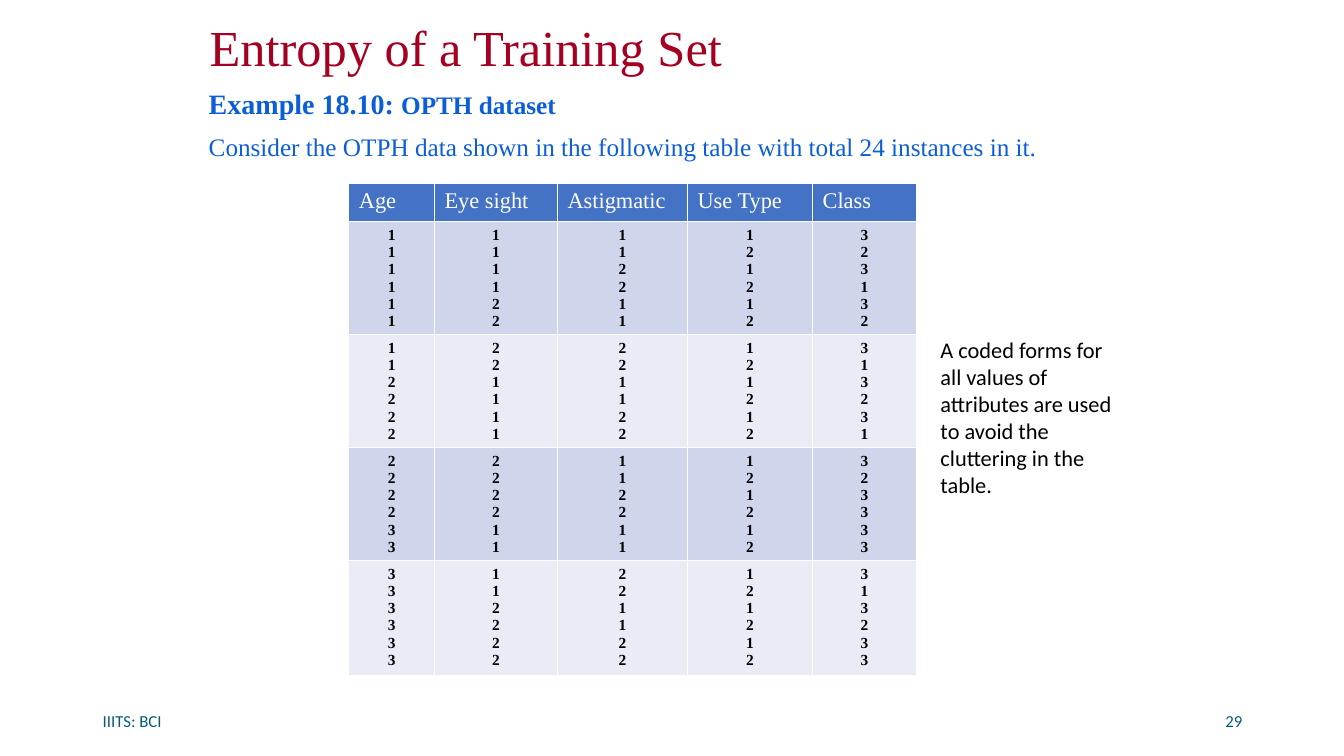
from pptx import Presentation
from pptx.dml.color import RGBColor
from pptx.enum.text import MSO_ANCHOR, MSO_AUTO_SIZE, PP_ALIGN
from pptx.oxml.ns import qn
from pptx.util import Inches, Pt
from lxml import etree

LEFT, CENTER, RIGHT = PP_ALIGN.LEFT, PP_ALIGN.CENTER, PP_ALIGN.RIGHT
TOP, MIDDLE = MSO_ANCHOR.TOP, MSO_ANCHOR.MIDDLE
NO_FIT = MSO_AUTO_SIZE.NONE

RED = RGBColor(0xA5, 0x00, 0x21)
BLUE = RGBColor(0x0B, 0x5E, 0xD7)
TEAL = RGBColor(0x04, 0x5D, 0x75)
BLACK = RGBColor(0x00, 0x00, 0x00)
WHITE = RGBColor(0xFF, 0xFF, 0xFF)
HEAD = RGBColor(0x44, 0x72, 0xC4)
BANDS = [RGBColor(0xCF, 0xD5, 0xEA), RGBColor(0xE9, 0xEB, 0xF5)]
SERIF, SANS = "Times New Roman", "Calibri"


def style(font, size, color, name, bold=False):
    font.size = Pt(size)
    font.color.rgb = color
    font.name = name
    font.bold = bold


def place(shape, left, top, width, height):
    shape.left, shape.top = Inches(left), Inches(top)
    shape.width, shape.height = Inches(width), Inches(height)


prs = Presentation()
prs.slide_width, prs.slide_height = Inches(13.33), Inches(7.5)
slide = prs.slides.add_slide(prs.slide_layouts[1])

# Title
title = slide.shapes.title
place(title, 1.98, 0.19, 9.33, 0.61)
frame = title.text_frame
frame.text = "Entropy of a Training Set"
frame.auto_size = NO_FIT
frame.vertical_anchor = MIDDLE
para = frame.paragraphs[0]
para.alignment = LEFT
para.line_spacing = 0.9
style(para.runs[0].font, 36, RED, SERIF)

# Introduction
body = slide.placeholders[1]
place(body, 1.97, 0.85, 9.21, 5.49)
frame = body.text_frame
frame.auto_size = NO_FIT
intro = [
    [("Example 18.10: ", 20, True), ("OPTH dataset", 18, True)],
    [("Consider the OTPH data shown in the following table with total 24 instances in it.", 18, False)],
]
for i, parts in enumerate(intro):
    para = frame.add_paragraph() if i else frame.paragraphs[0]
    props = para._p.get_or_add_pPr()
    props.set("marL", "0")
    props.set("indent", "0")
    etree.SubElement(props, qn("a:buNone"))
    para.line_spacing = 0.9
    para.space_before = Pt(10 if i else 0)
    for text, size, bold in parts:
        run = para.add_run()
        run.text = text
        style(run.font, size, BLUE, SERIF, bold)

# Table: four blocks of six instances, attributes counting through all codes
heads = ["Age", "Eye sight", "Astigmatic", "Use Type", "Class"]
widths = [0.85, 1.22, 1.29, 1.24, 1.03]
heights = [0.38, 1.07, 1.07, 1.07, 1.14]
classes = "323132313231323333313233"
data = [
    (n // 8 + 1, n // 4 % 2 + 1, n // 2 % 2 + 1, n % 2 + 1, code)
    for n, code in enumerate(classes)
]
table = slide.shapes.add_table(
    len(heights), len(heads), Inches(3.46), Inches(1.82),
    Inches(sum(widths)), Inches(sum(heights))).table
for row, height in zip(table.rows, heights):
    row.height = Inches(height)
for c, (head, width) in enumerate(zip(heads, widths)):
    table.columns[c].width = Inches(width)
    cell = table.cell(0, c)
    cell.text = head
    cell.fill.solid()
    cell.fill.fore_color.rgb = HEAD
    style(cell.text_frame.paragraphs[0].runs[0].font, 16, WHITE, SERIF)
    for block in range(4):
        cell = table.cell(block + 1, c)
        cell.text = "\n".join(str(item[c]) for item in data[block * 6:block * 6 + 6])
        cell.fill.solid()
        cell.fill.fore_color.rgb = BANDS[block % 2]
        for para in cell.text_frame.paragraphs:
            para.alignment = CENTER
            style(para.runs[0].font, 11, BLACK, SERIF, True)

# Side note and footer
note = "A coded forms for all values of attributes are used to avoid the cluttering in the table."
boxes = [
    (note, 9.23, 3.29, 1.96, 1.72, 16, BLACK, LEFT, TOP),
    ("IIITS: BCI", 0.92, 6.95, 3, 0.4, 12, TEAL, LEFT, MIDDLE),
    ("29", 9.42, 6.95, 3, 0.4, 12, TEAL, RIGHT, MIDDLE),
]
for text, left, top, width, height, size, color, align, anchor in boxes:
    box = slide.shapes.add_textbox(Inches(left), Inches(top), Inches(width), Inches(height))
    frame = box.text_frame
    frame.word_wrap = True
    frame.vertical_anchor = anchor
    frame.text = text
    para = frame.paragraphs[0]
    para.alignment = align
    style(para.runs[0].font, size, color, SANS)

prs.save("out.pptx")
